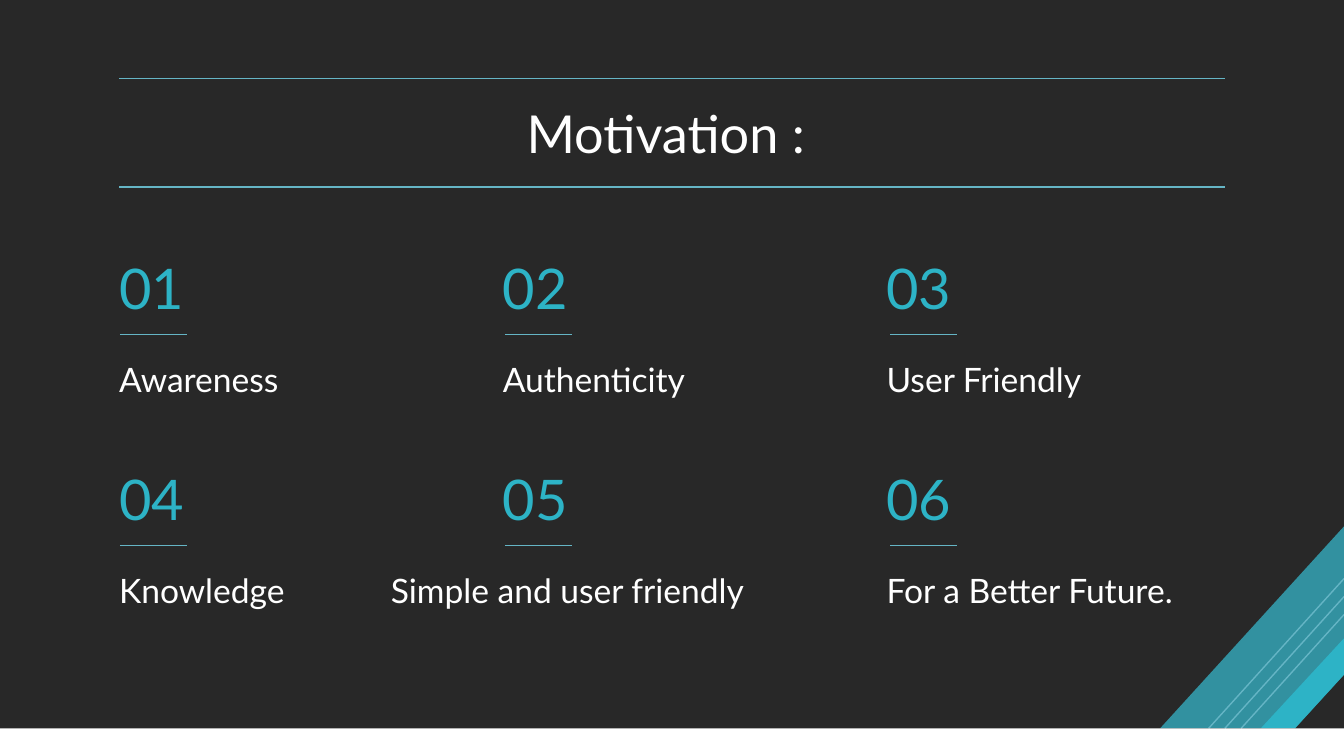
"""Build a dark slide with a ruled title and six numbered motivation points."""
from lxml import etree
from pptx import Presentation
from pptx.dml.color import RGBColor
from pptx.enum.shapes import MSO_CONNECTOR, MSO_SHAPE
from pptx.enum.text import MSO_ANCHOR, PP_ALIGN
from pptx.oxml.ns import qn
from pptx.util import Pt

STRAIGHT = MSO_CONNECTOR.STRAIGHT
RECTANGLE = MSO_SHAPE.RECTANGLE
TOP, MIDDLE = MSO_ANCHOR.TOP, MSO_ANCHOR.MIDDLE
LEFT, CENTER = PP_ALIGN.LEFT, PP_ALIGN.CENTER
color = RGBColor.from_string

WIDTH, HEIGHT, FLOOR = 720, 405, 390.2
WHITE, TEAL, PALE_TEAL, DEEP_TEAL = "FFFFFF", "2DB3C6", "65B5C5", "3291A0"

deck = Presentation()
deck.slide_width, deck.slide_height = Pt(WIDTH), Pt(HEIGHT)
page = deck.slides.add_slide(deck.slide_layouts[6])
page.background.fill.solid()
page.background.fill.fore_color.rgb = color("282828")


def add_rule(x1, y1, x2, y2):
    rule = page.shapes.add_connector(STRAIGHT, Pt(x1), Pt(y1), Pt(x2), Pt(y2))
    rule.line.color.rgb = color(PALE_TEAL)
    rule.line.width = Pt(0.75)
    etree.SubElement(rule._element.spPr, qn("a:effectLst"))


def add_label(text, left, top, width, height, size, ink, anchor=TOP, align=LEFT):
    box = page.shapes.add_textbox(Pt(left), Pt(top), Pt(width), Pt(height))
    frame = box.text_frame
    frame.word_wrap = True
    frame.vertical_anchor = anchor
    frame.margin_left = frame.margin_right = Pt(7.2)
    frame.margin_top = frame.margin_bottom = Pt(7.2)
    para = frame.paragraphs[0]
    para.alignment = align
    span = para.add_run()
    span.text = text
    span.font.name = "Lato"
    span.font.size = Pt(size)
    span.font.color.rgb = color(ink)


bands = [
    (DEEP_TEAL, [(621.5, FLOOR), (WIDTH, 282), (WIDTH, 361.5), (693.8, FLOOR)]),
    (TEAL, [(675.5, FLOOR), (WIDTH, 342), (WIDTH, 361.5), (693.8, FLOOR)]),
]
for fill, corners in bands:
    points = [(Pt(x), Pt(y)) for x, y in corners]
    builder = page.shapes.build_freeform(*points[0], scale=1.0)
    builder.add_line_segments(points[1:], close=True)
    band = builder.convert_to_shape()
    band.shadow.inherit = False
    band.fill.solid()
    band.fill.fore_color.rgb = color(fill)
    band.line.fill.background()

for stripe in range(3):
    add_rule(647.5 + 8.7 * stripe, FLOOR, WIDTH, 310 + 9.65 * stripe)

strip = page.shapes.add_shape(RECTANGLE, 0, Pt(FLOOR), Pt(WIDTH), Pt(HEIGHT - FLOOR))
strip.shadow.inherit = False
strip.fill.solid()
strip.fill.fore_color.rgb = color(WHITE)
strip.line.fill.background()

for y in (42, 100.2):
    add_rule(64, y, 656, y)
add_label("Motivation : ", 56.7, 46.8, 607, 45.4, 28, WHITE, align=CENTER)

reasons = ["Awareness", "Authenticity", "User Friendly",
           "Knowledge", "Simple and user friendly", "For a Better Future."]
wide_boxes = {"Simple and user friendly": (202.3, 232.6, 36)}
for index, reason in enumerate(reasons):
    row, column = divmod(index, 3)
    left, drop = 56.7 + 205.6 * column, 113 * row
    add_label(f"{index + 1:02}", left, 139 + drop, 57.6, 29.5, 30, TEAL, MIDDLE)
    rule_left = 64.2 + 206.3 * column
    add_rule(rule_left, 179.3 + drop, rule_left + 36, 179.3 + drop)
    text_left, width, height = wide_boxes.get(reason, (left, 195.8, 58.3))
    add_label(reason, text_left, 185 + drop, width, height, 18, WHITE)

deck.save("out.pptx")
